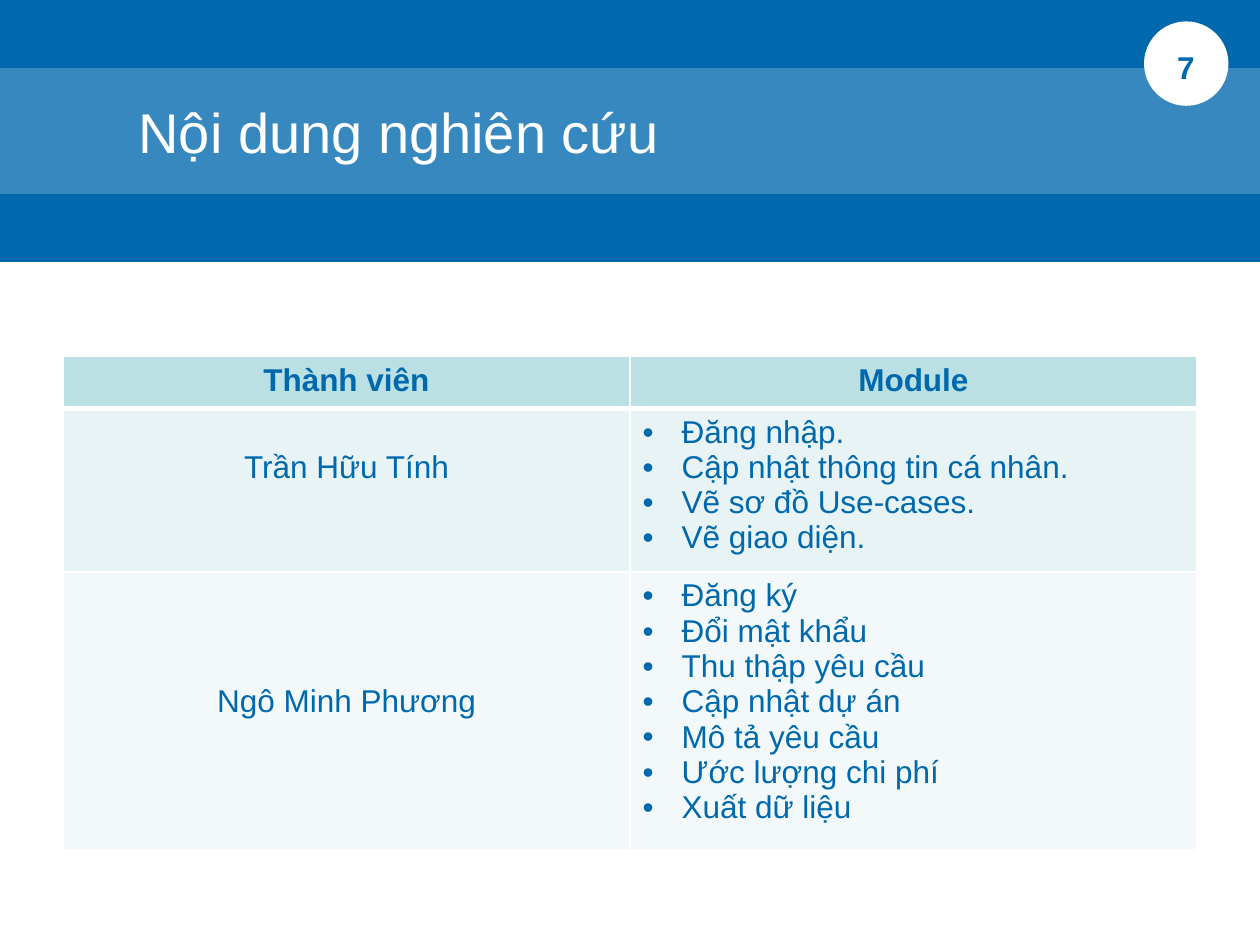
from dataclasses import dataclass

from lxml import etree
from pptx import Presentation
from pptx.dml.color import RGBColor
from pptx.enum import shapes, text
from pptx.oxml import ns
from pptx.util import Inches, Pt


@dataclass(frozen=True)
class Theme:
    font: str = "Arial"
    blue: str = "0069AD"
    white: str = "FFFFFF"
    header_fill: str = "BBE0E3"
    row_fills: tuple = ("E7F3F4", "F3F9FA")
    title_size: int = 32
    body_size: int = 18
    line_height: float = 0.28


THEME = Theme()
CENTER = text.PP_ALIGN.CENTER

# Member, tasks, row height, number of lines the name sits below the cell top
MEMBERS = [
    ("Trần Hữu Tính",
     ["Đăng nhập.", "Cập nhật thông tin cá nhân.", "Vẽ sơ đồ Use-cases.",
      "Vẽ giao diện."], 1.3, 1),
    ("Ngô Minh Phương",
     ["Đăng ký", "Đổi mật khẩu", "Thu thập yêu cầu", "Cập nhật dự án",
      "Mô tả yêu cầu", "Ước lượng chi phí", "Xuất dữ liệu"], 2.2, 3),
]


def style(paragraph, size, color, bold=False, align=text.PP_ALIGN.LEFT):
    paragraph.alignment = align
    font = paragraph.font
    font.name, font.size, font.bold = THEME.font, Pt(size), bold
    font.color.rgb = RGBColor.from_string(color)


def add_block(slide, kind, left, top, width, height, color, opacity=100):
    shape = slide.shapes.add_shape(
        kind, Inches(left), Inches(top), Inches(width), Inches(height))
    shape.shadow.inherit = False
    shape.line.fill.background()
    shape.fill.solid()
    shape.fill.fore_color.rgb = RGBColor.from_string(color)
    if opacity < 100:
        color_node = shape.fill._xPr.find(".//" + ns.qn("a:srgbClr"))
        etree.SubElement(color_node, ns.qn("a:alpha"), val=str(opacity * 1000))
    return shape


def add_title(slide, title):
    band = add_block(slide, shapes.MSO_SHAPE.RECTANGLE, 0, 0.54, 10, 1,
                     THEME.white, opacity=21)
    frame = band.text_frame
    frame.margin_left = Inches(1.1)
    frame.vertical_anchor = text.MSO_ANCHOR.MIDDLE
    frame.text = title
    style(frame.paragraphs[0], THEME.title_size, THEME.white)


def add_page_number(slide, number):
    add_block(slide, shapes.MSO_SHAPE.OVAL, 9.08, 0.17, 0.67, 0.67, THEME.white)
    box = slide.shapes.add_textbox(
        Inches(7.25), Inches(0.33), Inches(2.33), Inches(0.61))
    box.text_frame.word_wrap = True
    box.text_frame.text = number
    style(box.text_frame.paragraphs[0], THEME.body_size, THEME.blue,
          bold=True, align=text.PP_ALIGN.RIGHT)


def format_cell(cell, fill, top_border=1, bottom_border=1):
    borders = {"lnL": 1, "lnR": 1, "lnT": top_border, "lnB": bottom_border}
    properties = cell._tc.get_or_add_tcPr()
    for tag, width in borders.items():
        line = etree.SubElement(properties, ns.qn("a:" + tag), w=str(Pt(width)))
        solid = etree.SubElement(line, ns.qn("a:solidFill"))
        etree.SubElement(solid, ns.qn("a:srgbClr"), val=THEME.white)
    cell.fill.solid()
    cell.fill.fore_color.rgb = RGBColor.from_string(fill)


def write_centered(cell, content, bold=False):
    cell.text = content
    style(cell.text_frame.paragraphs[0], THEME.body_size, THEME.blue, bold, CENTER)


def write_bullets(cell, items):
    cell.text = "\n".join(items)
    for paragraph in cell.text_frame.paragraphs:
        properties = paragraph._p.get_or_add_pPr()
        properties.set("marL", str(Inches(0.31)))
        properties.set("indent", str(Inches(-0.31)))
        etree.SubElement(properties, ns.qn("a:buFont"), typeface=THEME.font)
        etree.SubElement(properties, ns.qn("a:buChar"), char="•")
        style(paragraph, THEME.body_size, THEME.blue)


def add_member_table(slide):
    heights = [0.41] + [member[2] for member in MEMBERS]
    table = slide.shapes.add_table(
        len(heights), 2, Inches(0.5), Inches(2.83), Inches(9),
        Inches(sum(heights))).table
    for row, height in zip(table.rows, heights):
        row.height = Inches(height)

    # Header row
    for column, label in enumerate(["Thành viên", "Module"]):
        cell = table.cell(0, column)
        format_cell(cell, THEME.header_fill, bottom_border=3)
        write_centered(cell, label, bold=True)

    # One row per member
    for index, (name, tasks, _, lines_down) in enumerate(MEMBERS):
        name_cell, task_cell = table.rows[index + 1].cells
        for cell in (name_cell, task_cell):
            format_cell(cell, THEME.row_fills[index],
                        top_border=3 if index == 0 else 1)
        name_cell.margin_top = Inches(0.05 + lines_down * THEME.line_height)
        write_centered(name_cell, name)
        write_bullets(task_cell, tasks)


def main():
    presentation = Presentation()
    presentation.slide_width, presentation.slide_height = Inches(10), Inches(7.5)
    slide = presentation.slides.add_slide(presentation.slide_layouts[6])

    # Header and page body
    rectangle = shapes.MSO_SHAPE.RECTANGLE
    add_block(slide, rectangle, 0, 0, 10, 2.08, THEME.blue)
    add_title(slide, "Nội dung nghiên cứu")
    add_block(slide, rectangle, 0, 2.08, 10, 5.42, THEME.white)
    add_page_number(slide, "7")

    # Work split
    add_member_table(slide)
    presentation.save("out.pptx")


if __name__ == "__main__":
    main()
